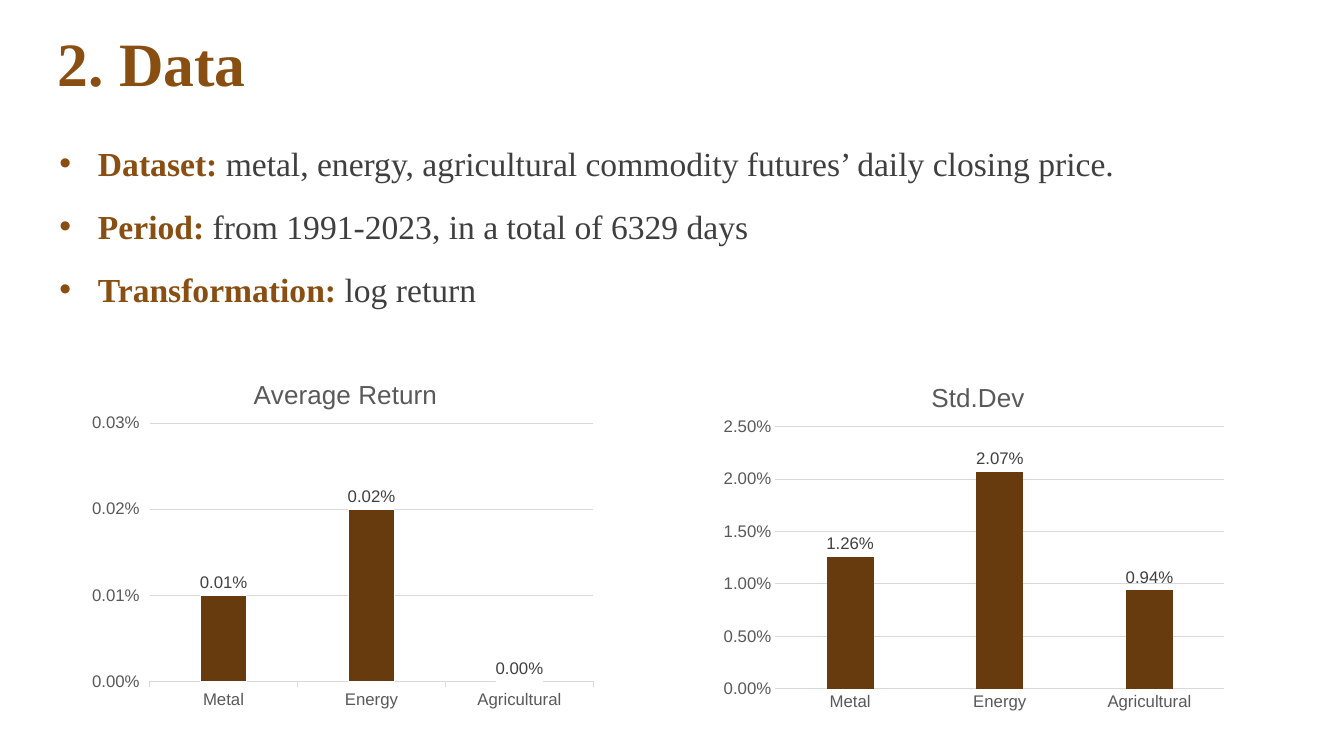
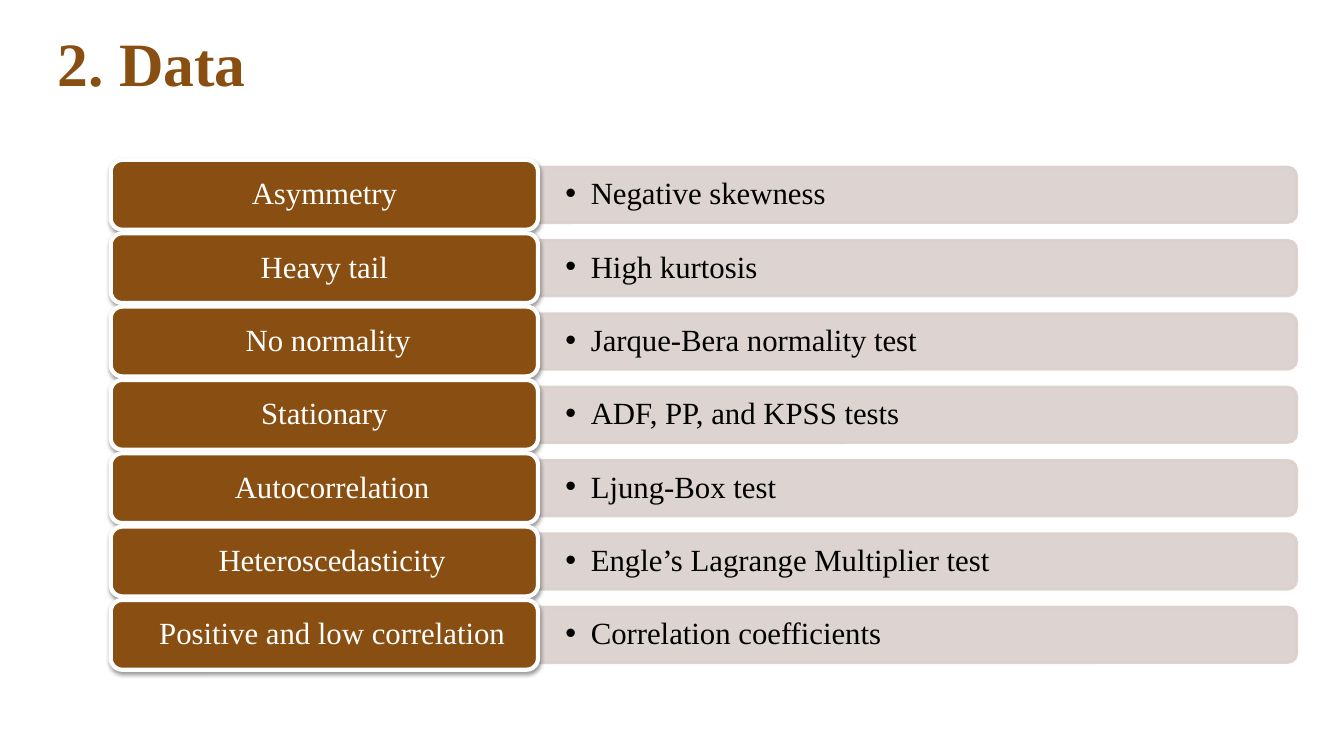
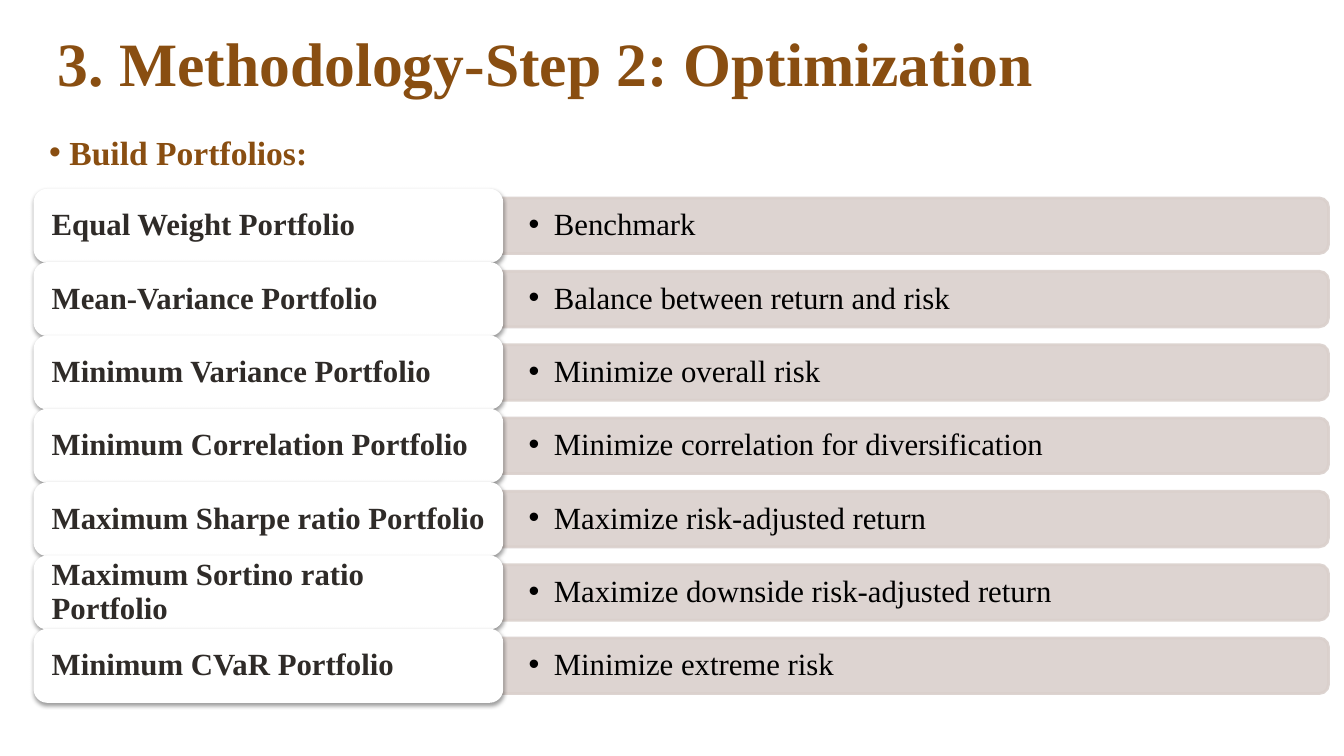
from lxml import etree
from pptx import Presentation
from pptx.chart.data import CategoryChartData
from pptx.dml.color import RGBColor
from pptx.enum.chart import XL_CHART_TYPE as Kind, XL_LABEL_POSITION as Spot
from pptx.enum.chart import XL_TICK_MARK as Tick
from pptx.enum.shapes import MSO_SHAPE as Form
from pptx.enum.text import MSO_ANCHOR as Anchor, PP_ALIGN as Align
from pptx.oxml import parse_xml
from pptx.oxml.ns import nsdecls, qn
from pptx.util import Cm, Pt

# Shared look
BROWN = RGBColor(0x89, 0x4E, 0x11)
DARK = RGBColor(0x67, 0x3B, 0x0D)
SAND = RGBColor(0xDA, 0xD0, 0xCC)
WHITE = RGBColor(0xFF, 0xFF, 0xFF)
BLACK = RGBColor(0, 0, 0)
INK = RGBColor(0x2F, 0x2B, 0x28)
BODY = RGBColor(0x3F, 0x3F, 0x3F)
LABEL = RGBColor(0x40, 0x40, 0x40)
GRAY = RGBColor(0x59, 0x59, 0x59)
GRID = RGBColor(0xD9, 0xD9, 0xD9)
SERIF, SANS = "Times New Roman", "Arial"

# Row sizes in cm
TAB_H, BAR_H = 1.76, 1.4
PITCH = TAB_H * 1.05


def style(font, size, color, name=SERIF, bold=False):
    font.name, font.size, font.bold = name, Pt(size), bold
    font.color.rgb = color


def add_run(para, text, size, color, bold=False):
    run = para.add_run()
    run.text = text
    style(run.font, size, color, bold=bold)


def set_frame(frame, anchor, left=0, top=0, right=0, bottom=0):
    frame.word_wrap = True
    frame.vertical_anchor = anchor
    frame.margin_left, frame.margin_top = Cm(left), Cm(top)
    frame.margin_right, frame.margin_bottom = Cm(right), Cm(bottom)


def add_bullet(para, color, margin, hang):
    props = para._p.get_or_add_pPr()
    props.set("marL", str(Cm(margin)))
    props.set("indent", str(-Cm(hang)))
    ns = nsdecls("a")
    for xml in (f'<a:buClr {ns}><a:srgbClr val="{color}"/></a:buClr>',
                f'<a:buFont {ns} typeface="{SANS}"/>',
                f'<a:buChar {ns} char="•"/>'):
        props.append(parse_xml(xml))


def add_title(deck, text, width=24.5):
    slide = deck.slides.add_slide(deck.slide_layouts[5])
    title = slide.shapes.title
    title.left, title.top = Cm(1.45), Cm(0.61)
    title.width, title.height = Cm(width), Cm(2.69)
    set_frame(title.text_frame, Anchor.BOTTOM, bottom=0.79)
    para = title.text_frame.paragraphs[0]
    para.alignment, para.line_spacing = Align.LEFT, 0.9
    add_run(para, text, 44, BROWN, True)
    return slide


def add_list(slide, box, items, margin, hang):
    """Bulleted lines, each a bold lead and plain text."""
    frame = slide.shapes.add_textbox(*map(Cm, box)).text_frame
    set_frame(frame, Anchor.TOP)
    for i, (lead, rest) in enumerate(items):
        para = frame.add_paragraph() if i else frame.paragraphs[0]
        para.alignment, para.line_spacing = Align.JUSTIFY, 1.5
        para.space_before = Pt(1.8)
        add_bullet(para, BROWN, margin, hang)
        add_run(para, lead, 24, BROWN, True)
        if rest:
            add_run(para, rest, 24, BODY)


# Rows of a tab and a bar
def add_bar(slide, left, mid, width, text):
    """Bar rounded on its right end, with a bulleted line over it."""
    bar = slide.shapes.add_shape(
        Form.ROUND_2_SAME_RECTANGLE, Cm(left + (width - BAR_H) / 2),
        Cm(mid - width / 2), Cm(BAR_H), Cm(width))
    bar.rotation = 90
    bar.shadow.inherit = False
    bar.fill.solid()
    bar.fill.fore_color.rgb = bar.line.color.rgb = SAND
    bar.line.width = Pt(2)
    for tone in bar._element.spPr.iter(qn("a:srgbClr")):
        etree.SubElement(tone, qn("a:alpha")).set("val", "90000")
    box = slide.shapes.add_textbox(
        Cm(left), Cm(mid - BAR_H / 2), Cm(width), Cm(BAR_H))
    set_frame(box.text_frame, Anchor.MIDDLE, 0.69, 0.1, 0.69, 0.1)
    para = box.text_frame.paragraphs[0]
    para.line_spacing = 0.9
    add_bullet(para, BLACK, 0.64, 0.64)
    add_run(para, text, 22, BLACK)


def add_tab(slide, left, top, width, text, fill, color, align, indent):
    tab = slide.shapes.add_shape(
        Form.ROUNDED_RECTANGLE, Cm(left), Cm(top), Cm(width), Cm(TAB_H))
    tab.fill.solid()
    tab.fill.fore_color.rgb = fill
    tab.line.color.rgb = WHITE
    tab.line.width = Pt(3)
    tab.shadow.inherit = False
    tab._element.spPr.find(qn("a:effectLst")).append(parse_xml(
        f'<a:outerShdw {nsdecls("a")} blurRad="{Pt(3.1)}" dist="{Pt(1.6)}" '
        'dir="5400000" rotWithShape="0"><a:srgbClr val="000000">'
        '<a:alpha val="38000"/></a:srgbClr></a:outerShdw>'))
    set_frame(tab.text_frame, Anchor.MIDDLE, 0.32, 0.2, 0.32, 0.2)
    para = tab.text_frame.paragraphs[0]
    para.alignment, para.line_spacing = align, 0.9
    para._p.get_or_add_pPr().set("marL", str(Cm(indent)))
    add_run(para, text, 22, color, align == Align.LEFT)


def add_rows(slide, left, top, tab_w, bar_w, rows, fill, color, align):
    for i, (name, text, *indent) in enumerate(rows):
        y = top + i * PITCH
        add_bar(slide, left + tab_w, y + TAB_H / 2, bar_w, text)
        add_tab(slide, left, y, tab_w, name, fill, color, align, sum(indent))


# Charts
def place(node, index, **parts):
    """Fix a chart part at fractions of the chart's size."""
    layout = node.find(qn("c:layout"))
    if layout is None:
        layout = etree.Element(qn("c:layout"))
        node.insert(index, layout)
    manual = etree.SubElement(layout, qn("c:manualLayout"))
    for key, val in parts.items():
        etree.SubElement(manual, qn(f"c:{key}")).set("val", str(val))


def add_columns(slide, left, name, vals, top, step, tick, edge, spot, area):
    data = CategoryChartData(number_format="0.00%")
    data.categories = ["Metal", "Energy", "Agricultural"]
    data.add_series("Series 1", vals)
    chart = slide.shapes.add_chart(
        Kind.COLUMN_CLUSTERED, Cm(left), Cm(8.92), Cm(13.16), Cm(9.17),
        data).chart
    chart.has_legend = False
    style(chart.font, 10, BLACK, SANS)

    chart.has_title = True
    run = chart.chart_title.text_frame.paragraphs[0].add_run()
    run.text = name
    style(run.font, 18.6, GRAY, SANS)
    place(chart.chart_title._element, 1,
          xMode="edge", yMode="edge", x=spot[0], y=spot[1])
    x, y, w, h = area
    place(chart._chartSpace.chart.plotArea, 0, layoutTarget="inner",
          xMode="edge", yMode="edge", x=x, y=y, w=w, h=h)

    for axis in (chart.category_axis, chart.value_axis):
        style(axis.tick_labels.font, 12, GRAY, SANS)
        axis.major_tick_mark, axis.minor_tick_mark = tick, Tick.NONE
    line = chart.category_axis.format.line
    line.color.rgb, line.width = GRID, Pt(0.75)
    scale = chart.value_axis
    scale.minimum_scale, scale.maximum_scale = 0, top
    scale.major_unit = step
    scale.tick_labels.number_format = "0.00%"
    scale.tick_labels.number_format_is_linked = False
    scale.format.line.fill.background()
    grid = scale.major_gridlines.format.line
    grid.color.rgb, grid.width = GRID, Pt(0.75)

    plot = chart.plots[0]
    plot.gap_width, plot.overlap = 219, -27
    plot.vary_by_categories = False
    form = plot.series[0].format
    form.fill.solid()
    form.fill.fore_color.rgb = DARK
    if edge:
        form.line.color.rgb, form.line.width = WHITE, Pt(0.75)
    plot.has_data_labels = True
    tags = plot.data_labels
    tags.show_value, tags.position = True, Spot.OUTSIDE_END
    tags.number_format, tags.number_format_is_linked = "0.00%", False
    style(tags.font, 12, LABEL, SANS)


def main():
    deck = Presentation()
    deck.slide_width, deck.slide_height = Cm(33.87), Cm(19.05)

    # Data set and its charts
    slide = add_title(deck, "2. Data")
    add_list(slide, (1.45, 3.1, 31.29, 5.5), [
        ("Dataset: ", "metal, energy, agricultural commodity futures’ "
                      "daily closing price."),
        ("Period: ", "from 1991-2023, in a total of 6329 days"),
        ("Transformation: ", "log return"),
    ], 1.02, 0.97)
    add_columns(slide, 2.06, "Average Return", (0.0001, 0.0002, 0),
                0.0003, 0.0001, Tick.OUTSIDE, True,
                (0.32, 0.05), (0.13, 0.19, 0.85, 0.71))
    add_columns(slide, 17.96, "Std.Dev", (0.0126, 0.0207, 0.0094),
                0.025, 0.005, Tick.NONE, False,
                (0.41, 0.06), (0.12, 0.2, 0.86, 0.72))

    # Features and tests
    slide = add_title(deck, "2. Data")
    add_rows(slide, 2.79, 4.03, 10.77, 19.12, [
        ("Asymmetry", "Negative skewness"),
        ("Heavy tail", "High kurtosis"),
        ("No normality", "Jarque-Bera normality test", 0.19),
        ("Stationary", "ADF, PP, and KPSS tests"),
        ("Autocorrelation", "Ljung-Box test", 0.39),
        ("Heteroscedasticity", "Engle’s Lagrange Multiplier test", 0.39),
        ("Positive and low correlation", "Correlation coefficients", 0.39),
    ], BROWN, WHITE, Align.CENTER)

    # Portfolios and aims
    slide = add_title(deck, "3. Methodology-Step 2: Optimization", 29.85)
    add_rows(slide, 0.9, 4.81, 11.73, 20.85, [
        ("Equal Weight Portfolio", "Benchmark"),
        ("Mean-Variance Portfolio", "Balance between return and risk"),
        ("Minimum Variance Portfolio", "Minimize overall risk"),
        ("Minimum Correlation Portfolio",
         "Minimize correlation for diversification"),
        ("Maximum Sharpe ratio Portfolio", "Maximize risk-adjusted return"),
        ("Maximum Sortino ratio Portfolio",
         "Maximize downside risk-adjusted return"),
        ("Minimum CVaR Portfolio", "Minimize extreme risk"),
    ], WHITE, INK, Align.LEFT)
    add_list(slide, (1.19, 2.82, 9.12, 2), [("Build Portfolios:", "")],
             0.56, 0.51)

    deck.save("out.pptx")


if __name__ == "__main__":
    main()
